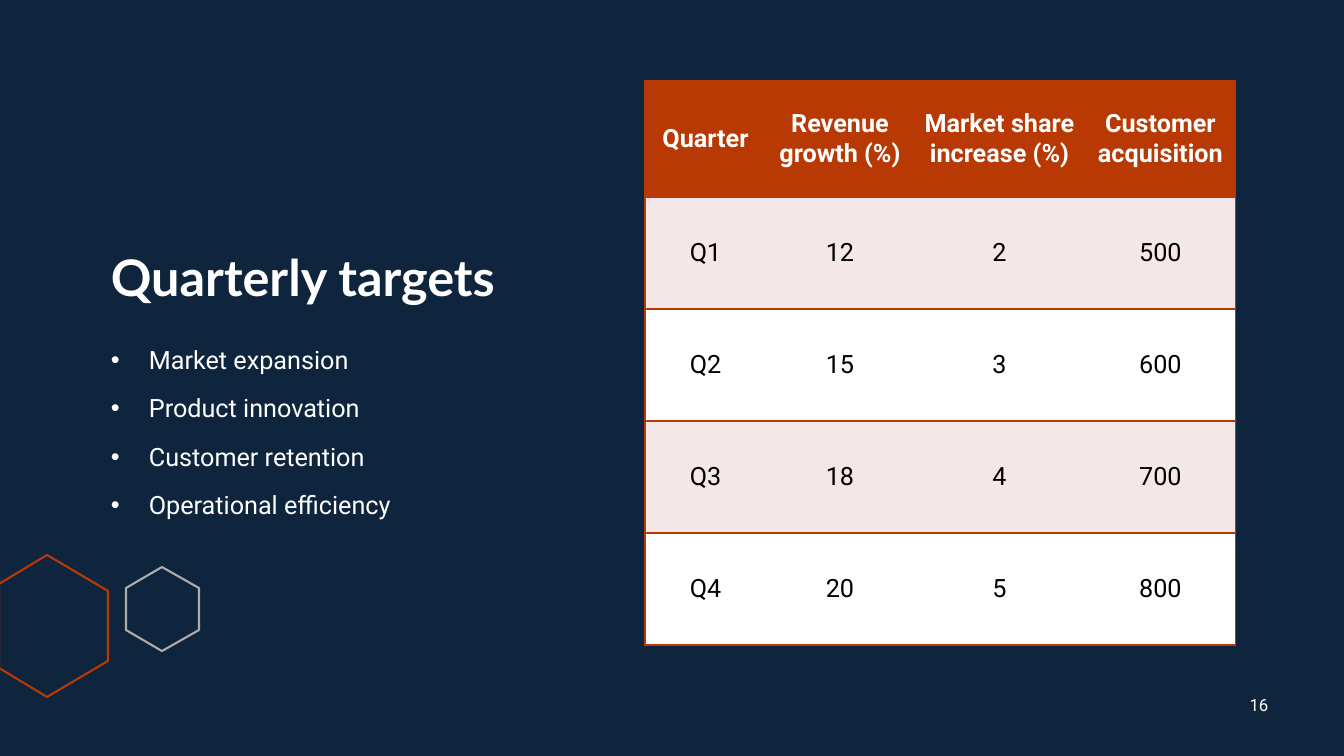
import pptx
import pptx.util
import pptx.dml.color
import pptx.enum.text
import pptx.oxml
import pptx.oxml.ns

RGB = pptx.dml.color.RGBColor
ALIGN = pptx.enum.text.PP_ALIGN
ANCHOR = pptx.enum.text.MSO_ANCHOR
Pt = pptx.util.Pt

TITLE = "Quarterly targets"
GOALS = ["Market expansion", "Product innovation",
         "Customer retention", "Operational efficiency"]
ROWS = [
    ("Quarter", "Revenue growth (%)", "Market share increase (%)",
     "Customer acquisition"),
    ("Q1", "12", "2", "500"),
    ("Q2", "15", "3", "600"),
    ("Q3", "18", "4", "700"),
    ("Q4", "20", "5", "800"),
]
NUMBER = "16"

NAVY = RGB(0x0F, 0x25, 0x3E)
RUST = RGB(0xB8, 0x39, 0x03)
GREY = RGB(0xAF, 0xAB, 0xAB)
BLUSH = RGB(0xF3, 0xE8, 0xE7)
WHITE = RGB(0xFF, 0xFF, 0xFF)
BLACK = RGB(0, 0, 0)

WIDE, HIGH = 1344, 756
COLS = [121, 148, 171, 151]
HEAD, BODY = 116, 112
HEXES = [
    (RUST, [(47, 555), (108, 591), (108, 661), (47, 697), (-1, 668), (-1, 584)]),
    (GREY, [(162, 567), (199, 588), (199, 630), (162, 651), (126, 630), (126, 588)]),
]


def px(n):
    return round(n * 914400 / 100.8)


def style(par, size, color, font="Roboto", bold=False):
    for run in par.runs:
        run.font.size = Pt(size)
        run.font.name = font
        run.font.bold = bold
        run.font.color.rgb = color


def add_text(slide, box, text, anchor=ANCHOR.TOP):
    frame = slide.shapes.add_textbox(*map(px, box)).text_frame
    frame.word_wrap = True
    frame.vertical_anchor = anchor
    frame.text = text
    return frame


def add_bullet(par):
    props = par._p.get_or_add_pPr()
    props.set("marL", str(px(38)))
    props.set("indent", str(-px(38)))
    ns = pptx.oxml.ns.nsdecls("a")
    props.append(pptx.oxml.parse_xml(f'<a:buFont {ns} typeface="Arial"/>'))
    props.append(pptx.oxml.parse_xml(f'<a:buChar {ns} char="•"/>'))


def add_hex(slide, color, points):
    build = slide.shapes.build_freeform(*map(px, points[0]), scale=1.0)
    build.add_line_segments([(px(x), px(y)) for x, y in points[1:]], close=True)
    shape = build.convert_to_shape()
    shape.shadow.inherit = False
    shape.fill.background()
    shape.line.color.rgb = color
    shape.line.width = Pt(1.5)


def set_edges(cell, shown):
    """Draw the named sides in rust and hide the others."""
    props = cell._tc.get_or_add_tcPr()
    ns = pptx.oxml.ns.nsdecls("a")
    for i, side in enumerate("LRTB"):
        fill = (f'<a:solidFill><a:srgbClr val="{RUST}"/></a:solidFill>'
                if side in shown else "<a:noFill/>")
        props.insert(i, pptx.oxml.parse_xml(
            f'<a:ln{side} {ns} w="{Pt(1)}">{fill}</a:ln{side}>'))


def add_grid(slide):
    high = HEAD + BODY * (len(ROWS) - 1)
    table = slide.shapes.add_table(
        len(ROWS), len(COLS), px(645), px(81), px(sum(COLS)), px(high)).table
    table.horz_banding = False
    for col, wide in zip(table.columns, COLS):
        col.width = px(wide)
    for r, row in enumerate(ROWS):
        top = r == 0
        table.rows[r].height = px(HEAD if top else BODY)
        for c, text in enumerate(row):
            cell = table.cell(r, c)
            cell.text = text
            cell.vertical_anchor = ANCHOR.MIDDLE
            cell.fill.solid()
            cell.fill.fore_color.rgb = RUST if top else BLUSH if r % 2 else WHITE
            par = cell.text_frame.paragraphs[0]
            par.alignment = ALIGN.CENTER
            style(par, 18, WHITE if top else BLACK, bold=top)
            ends = {0: "L", len(COLS) - 1: "R"}
            set_edges(cell, "TB" + ends.get(c, ""))


def main():
    deck = pptx.Presentation()
    deck.slide_width, deck.slide_height = px(WIDE), px(HIGH)
    slide = deck.slides.add_slide(deck.slide_layouts[6])
    slide.background.fill.solid()
    slide.background.fill.fore_color.rgb = NAVY

    for color, points in HEXES:
        add_hex(slide, color, points)

    title = add_text(slide, (101, 81, 484, 231), TITLE, ANCHOR.BOTTOM).paragraphs[0]
    title.line_spacing = 0.9
    style(title, 36, WHITE, "Lato", True)

    goals = add_text(slide, (101, 343, 484, 212), "\n".join(GOALS))
    for par in goals.paragraphs:
        par.line_spacing = 0.9
        par.space_before = Pt(15)
        add_bullet(par)
        style(par, 18, WHITE)

    add_grid(slide)

    page = add_text(slide, (1234, 685, 50, 40), NUMBER, ANCHOR.MIDDLE).paragraphs[0]
    page.alignment = ALIGN.CENTER
    style(page, 12, WHITE)

    deck.save("out.pptx")


if __name__ == "__main__":
    main()
